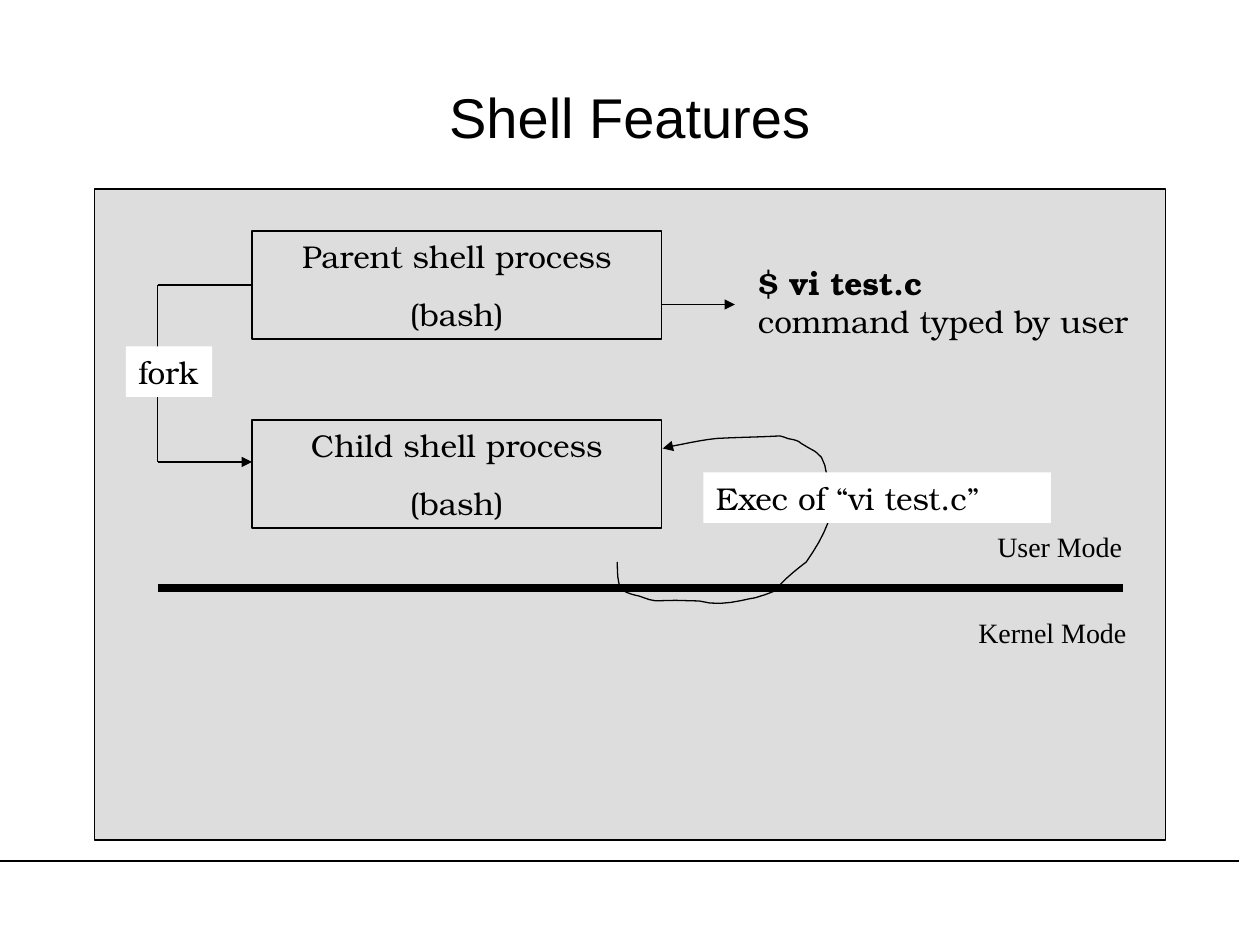
from lxml import etree
from pptx import Presentation
from pptx import util as u
from pptx.dml.color import RGBColor
from pptx.enum import shapes, text
from pptx.oxml.ns import qn

COLORS = {"ink": "000000", "panel": "DDDDDD", "label": "FFFFFF"}
SERIF, ROMAN, SANS = "TeX Gyre Bonum", "Times New Roman", "Arial"
CELL = u.Inches(1) / 12  # grid of 120 columns by 90 rows
CURVE_STEPS = 5

# Exec loop in inches: a start point, then cubic segments (two handles, end)
EXEC_START = (4.9, 4.46)
EXEC_CURVES = [
    ((4.9, 4.53), (4.9, 4.59), (4.92, 4.66)),
    ((4.93, 4.7), (5.06, 4.73), (5.07, 4.73)),
    ((5.26, 4.8), (5.14, 4.75), (5.55, 4.77)),
    ((5.69, 4.81), (5.83, 4.78), (5.96, 4.75)),
    ((5.98, 4.75), (6.01, 4.74), (6.04, 4.73)),
    ((6.08, 4.72), (6.15, 4.69), (6.15, 4.69)),
    ((6.22, 4.6), (6.31, 4.53), (6.4, 4.46)),
    ((6.49, 4.33), (6.56, 4.21), (6.6, 4.06)),
    ((6.59, 4.01), (6.57, 3.69), (6.52, 3.63)),
    ((6.45, 3.56), (6.49, 3.6), (6.36, 3.52)),
    ((6.33, 3.49), (6.29, 3.49), (6.25, 3.48)),
    ((6.23, 3.47), (6.19, 3.46), (6.19, 3.46)),
    ((6.02, 3.47), (5.86, 3.47), (5.69, 3.48)),
    ((5.58, 3.49), (5.45, 3.52), (5.34, 3.54)),
    ((5.32, 3.54), (5.26, 3.56), (5.26, 3.56)),
]


def cells(*values):
    return [u.Emu(round(value * CELL)) for value in values]


def sample_curves(start, curves):
    """Return points along a chain of cubic curves."""
    points = [start]
    for first, second, end in curves:
        origin = points[-1]
        for step in range(1, CURVE_STEPS + 1):
            t = step / CURVE_STEPS
            weights = ((1 - t) ** 3, 3 * t * (1 - t) ** 2, 3 * t * t * (1 - t), t ** 3)
            corners = (origin, first, second, end)
            points.append(tuple(sum(w * c[axis] for w, c in zip(weights, corners))
                                for axis in (0, 1)))
    return points


class Diagram:
    def __init__(self, presentation):
        self.slide = presentation.slides.add_slide(presentation.slide_layouts[6])

    def color(self, name):
        return RGBColor.from_string(COLORS[name])

    def stroke(self, shape, width=0.75, arrow=False):
        shape.line.color.rgb = self.color("ink")
        shape.line.width = u.Pt(width)
        if arrow:
            line = shape._element.spPr.find(qn("a:ln"))
            etree.SubElement(line, qn("a:tailEnd"), type="triangle")

    def add_text(self, shape, lines, size=18, font=SERIF, centered=False, gap=0,
                 bold_lines=(), wrap=True):
        frame = shape.text_frame
        frame.word_wrap = wrap
        frame.auto_size = text.MSO_AUTO_SIZE.SHAPE_TO_FIT_TEXT
        frame.vertical_anchor = text.MSO_ANCHOR.TOP
        for index, line in enumerate(lines):
            paragraph = frame.add_paragraph() if index else frame.paragraphs[0]
            paragraph.alignment = text.PP_ALIGN.CENTER if centered else text.PP_ALIGN.LEFT
            paragraph.space_before = u.Pt(gap if index else 0)
            run = paragraph.add_run()
            run.text = line
            run.font.size = u.Pt(size)
            run.font.name = font
            run.font.bold = index in bold_lines
            run.font.color.rgb = self.color("ink")
        return frame

    def box(self, area, fill=None, outlined=True):
        shape = self.slide.shapes.add_shape(shapes.MSO_SHAPE.RECTANGLE, *cells(*area))
        shape.shadow.inherit = False
        if fill:
            shape.fill.solid()
            shape.fill.fore_color.rgb = self.color(fill)
        else:
            shape.fill.background()
        if outlined:
            self.stroke(shape)
        else:
            shape.line.fill.background()
        return shape

    def process(self, row, name):
        shape = self.box((24, row, 39, 10.3))
        self.add_text(shape, [name, "(bash)"], centered=True, gap=11.2)
        return shape

    def label(self, area, line, wrap=True):
        self.add_text(self.box(area, "label", outlined=False), [line], wrap=wrap)

    def note(self, area, lines, **style):
        return self.add_text(self.slide.shapes.add_textbox(*cells(*area)), lines, **style)

    def title(self, area, line):
        frame = self.note(area, [line], size=32, font=SANS, centered=True)
        frame.auto_size = text.MSO_AUTO_SIZE.NONE
        frame.vertical_anchor = text.MSO_ANCHOR.MIDDLE

    def line(self, start, end, width=0.75, arrow=False):
        connector = self.slide.shapes.add_connector(
            shapes.MSO_CONNECTOR.STRAIGHT, *cells(*start, *end))
        self.stroke(connector, width, arrow)
        etree.SubElement(connector._element.spPr, qn("a:effectLst"))
        return connector

    def curve(self, start, curves):
        points = [(u.Inches(x), u.Inches(y)) for x, y in sample_curves(start, curves)]
        builder = self.slide.shapes.build_freeform(*points[0])
        builder.add_line_segments(points[1:], close=False)
        shape = builder.convert_to_shape()
        shape.shadow.inherit = False
        shape.fill.background()
        self.stroke(shape, arrow=True)


def main():
    presentation = Presentation()
    presentation.slide_width, presentation.slide_height = cells(120, 90)
    diagram = Diagram(presentation)

    diagram.line((0, 82), (118, 82))
    diagram.box((9, 18, 102, 62), "panel")
    diagram.title((6, 3.6, 108, 15), "Shell Features")

    parent = diagram.process(22, "Parent shell process")
    diagram.line((15, 56), (107, 56), width=4.5)
    diagram.note((93.8, 49.8, 15.3, 4.4), ["User Mode"], size=16, font=ROMAN)
    diagram.note((92, 58, 17.1, 4.4), ["Kernel Mode"], size=16, font=ROMAN)
    diagram.line((63, 29), (70, 29), arrow=True)
    diagram.note((71, 24.6, 38, 8.4), ["$ vi test.c", "command typed by user"],
                 bold_lines=(0,))
    diagram.process(40, "Child shell process")

    fork_top = 22 + 10.3 / 2
    diagram.line((15, fork_top), (15, 44))
    diagram.line((15, 44), (24, 44), arrow=True)
    diagram.line((15, fork_top), (24, fork_top)).end_connect(parent, 1)
    diagram.label((12, 33, 8.2, 4.8), "fork", wrap=False)

    diagram.curve(EXEC_START, EXEC_CURVES)
    diagram.label((67, 45, 33.1, 4.8), "Exec of “vi test.c”")
    presentation.save("out.pptx")


if __name__ == "__main__":
    main()
